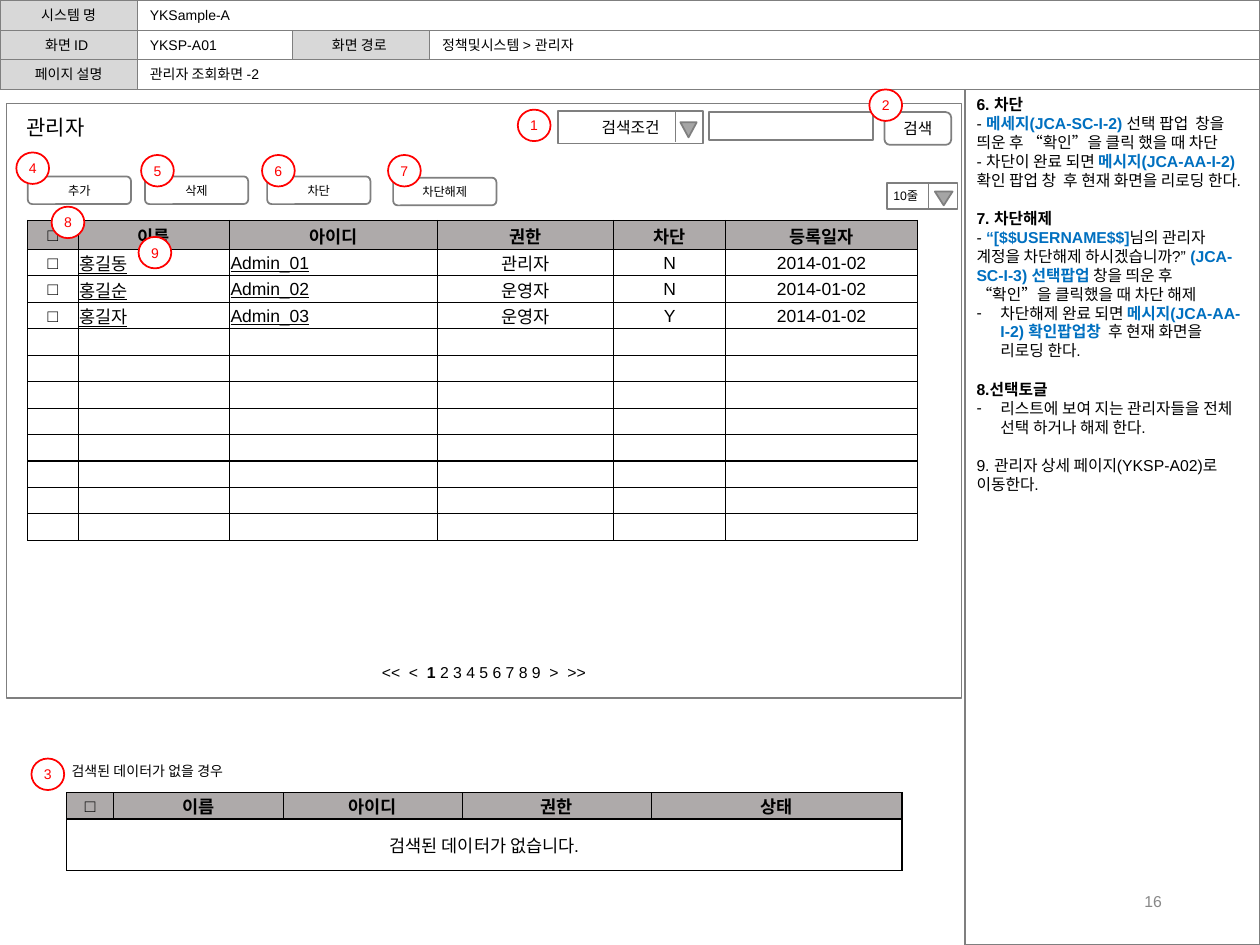
from lxml.etree import SubElement
from pptx import Presentation
from pptx.dml.color import RGBColor
from pptx.enum.shapes import MSO_CONNECTOR, MSO_SHAPE
from pptx.enum.text import MSO_ANCHOR, MSO_AUTO_SIZE, PP_ALIGN
from pptx.oxml.ns import qn
from pptx.util import Inches, Pt

BLACK, GRAY, RED, BLUE, WHITE = "000000", "7F7F7F", "FF0000", "0070C0", "FFFFFF"
LABEL, HEADER, ARROW = "D8D8D8", "AEAAAA", "A5A5A5"
LEFT, CENTER, RIGHT = PP_ALIGN.LEFT, PP_ALIGN.CENTER, PP_ALIGN.RIGHT


def write(paragraph, runs, size, align=LEFT, underline=False):
    paragraph.alignment = align
    for text, color, bold in runs:
        run = paragraph.add_run()
        run.text = text
        run.font.name = "Arial"
        run.font.size = Pt(size)
        run.font.bold = bold
        run.font.underline = underline
        run.font.color.rgb = RGBColor.from_string(color)


def add_box(place, runs=(), size=8, align=CENTER, kind=MSO_SHAPE.RECTANGLE,
            fill=None, line=GRAY, weight=1, inset=0.1):
    lengths = [Inches(value) for value in place]
    if kind is None:
        box = slide.shapes.add_textbox(*lengths)
    else:
        box = slide.shapes.add_shape(kind, *lengths)
        box.shadow.inherit = False
        box.line.color.rgb = RGBColor.from_string(line)
        box.line.width = Pt(weight)
        if fill:
            box.fill.solid()
            box.fill.fore_color.rgb = RGBColor.from_string(fill)
        else:
            box.fill.background()
    frame = box.text_frame
    frame.word_wrap = True
    frame.vertical_anchor = MSO_ANCHOR.MIDDLE
    frame.margin_left = frame.margin_right = Inches(inset)
    if runs:
        write(frame.paragraphs[0], runs, size, align)


presentation = Presentation()
presentation.slide_width, presentation.slide_height = Inches(10), Inches(7.5)
slide = presentation.slides.add_slide(presentation.slide_layouts[1])

heading, notes = slide.placeholders
for holder, place in ((heading, (0.11, 0.86, 1, 0.3)), (notes, (7.66, 0.71, 2.34, 6.79))):
    holder.left, holder.top, holder.width, holder.height = [Inches(v) for v in place]
    holder.text_frame.auto_size = MSO_AUTO_SIZE.NONE
    holder.text_frame.vertical_anchor = MSO_ANCHOR.TOP
write(heading.text_frame.paragraphs[0], [("관리자", BLACK, False)], 12)

notes.line.color.rgb = RGBColor.from_string(GRAY)
notes.line.width = Pt(0.75)
notes.text_frame.margin_left = notes.text_frame.margin_right = Inches(0.09)
notes.text_frame.margin_top = notes.text_frame.margin_bottom = Inches(0.04)
note_paragraphs = [
    (0, False, [("6. 차단", BLACK, True)]),
    (0, False, [("- ", BLACK, False), ("메세지(JCA-SC-I-2) ", BLUE, True),
                ("선택 팝업  창을 띄운 후 “확인”을 클릭 했을 때 차단", BLACK, False)]),
    (0, False, [("- 차단이 완료 되면 ", BLACK, False), ("메시지(JCA-AA-I-2) ", BLUE, True),
                ("확인 팝업 창  후 현재 화면을 리로딩 한다.", BLACK, False)]),
    (11, False, [("7. 차단해제", BLACK, True)]),
    (0, False, [("- ", BLACK, False), ("“[$$USERNAME$$]", BLUE, True),
                ("님의 관리자 계정을 차단해제 하시겠습니까?” ", BLACK, False),
                ("(JCA-SC-I-3) 선택팝업 ", BLUE, True),
                ("창을 띄운 후 “확인”을 클릭했을 때 차단 해제", BLACK, False)]),
    (0, True, [("차단해제 완료 되면 ", BLACK, False),
               ("메시지(JCA-AA-I-2) 확인팝업창 ", BLUE, True),
               (" 후 현재 화면을 리로딩 한다.", BLACK, False)]),
    (11, False, [("8.선택토글", BLACK, True)]),
    (0, True, [("리스트에 보여 지는 관리자들을 전체 선택 하거나 해제 한다.", BLACK, False)]),
    (11, False, [("9. 관리자 상세 페이지(YKSP-A02)로 이동한다.", BLACK, False)]),
]
for index, (gap, bulleted, runs) in enumerate(note_paragraphs):
    frame = notes.text_frame
    paragraph = frame.add_paragraph() if index else frame.paragraphs[0]
    write(paragraph, runs, 9)
    paragraph.space_before = Pt(gap)
    properties = paragraph._p.get_or_add_pPr()
    hang = Inches(0.19) if bulleted else 0
    properties.set("marL", str(hang))
    properties.set("indent", str(-hang))
    if bulleted:
        SubElement(properties, qn("a:buChar")).set("char", "-")
    else:
        SubElement(properties, qn("a:buNone"))

add_box((7.07, 6.95, 2.25, 0.4), [("16", "888888", False)], 9, RIGHT, None)

header_fields = [
    (0, 0.24, 1.09, "화면 ID ", True), (1.09, 0.24, 1.25, "YKSP-A01", False),
    (2.32, 0.24, 1.09, "화면 경로 ", True), (3.41, 0.24, 6.59, "정책및시스템 > 관리자", False),
    (0, 0.47, 1.09, "페이지 설명", True), (1.09, 0.47, 8.91, "관리자 조회화면 -2", False),
    (0, 0, 1.09, "시스템 명", True), (1.09, 0, 8.91, "YKSample-A", False),
]
for left, top, width, text, is_label in header_fields:
    add_box((left, top, width, 0.24), [(text, BLACK, False)], 8, CENTER if is_label else LEFT,
            fill=LABEL if is_label else WHITE, weight=0.75)

add_box((0.05, 0.82, 7.58, 4.72), weight=0.75)
add_box((4.43, 0.88, 1.15, 0.26), [("검색조건", BLACK, False)], 9)
add_box((5.63, 0.89, 1.3, 0.22))
add_box((7.04, 1.45, 0.56, 0.21), [("10줄", BLACK, False)], 7, LEFT, inset=0.05)
for place in ((5.4, 0.97, 0.13, 0.12), (7.42, 1.52, 0.14, 0.11)):
    add_box(place, kind=MSO_SHAPE.FLOWCHART_MERGE, fill=ARROW)
for x, top, bottom in ((5.36, 0.88, 1.13), (7.37, 1.45, 1.67)):
    divider = slide.shapes.add_connector(
        MSO_CONNECTOR.STRAIGHT, Inches(x), Inches(top), Inches(x), Inches(bottom))
    divider.line.color.rgb = RGBColor.from_string(GRAY)
    divider.line.width = Pt(0.75)
    SubElement(divider._element.spPr, qn("a:effectLst"))

buttons = [(7.02, 0.89, 0.53, 0.26, "검색", 9), (0.22, 1.4, 0.82, 0.22, "추가", 7),
           (1.15, 1.4, 0.82, 0.22, "삭제", 7), (2.12, 1.4, 0.82, 0.22, "차단", 7),
           (3.12, 1.41, 0.82, 0.22, "차단해제", 7)]
for *place, text, size in buttons:
    add_box(place, [(text, BLACK, False)], size, kind=MSO_SHAPE.ROUNDED_RECTANGLE, inset=0.04)

add_box((2.39, 5.21, 2.9, 0.25),
        [("<<  <  ", BLACK, False), ("1 ", BLACK, True),
         ("2 3 4 5 6 7 8 9  >  >>", BLACK, False)], 9, CENTER, None)

admin_rows = [
    ["□", "이름", "아이디", "권한", "차단", "등록일자"],
    ["□", "홍길동", "Admin_01", "관리자", "N", "2014-01-02"],
    ["□", "홍길순", "Admin_02", "운영자", "N", "2014-01-02"],
    ["□", "홍길자", "Admin_03", "운영자", "Y", "2014-01-02"],
] + [[""] * 6 for _ in range(8)]
empty_result_rows = [["□", "이름", "아이디", "권한", "상태"],
                     ["검색된 데이터가 없습니다.", "", "", "", ""]]
tables = [
    (0.22, 1.75, [0.4, 1.2, 1.65, 1.4, 0.89, 1.52], [0.23] + [0.21] * 11, admin_rows, (1, 2)),
    (0.53, 6.29, [0.37, 1.35, 1.42, 1.5, 1.99], [0.21, 0.41], empty_result_rows, ()),
]
for left, top, widths, heights, rows, link_columns in tables:
    table = slide.shapes.add_table(len(rows), len(widths), Inches(left), Inches(top),
                                   Inches(sum(widths)), Inches(sum(heights))).table
    table.first_row = table.horz_banding = False
    for column, width in zip(table.columns, widths):
        column.width = Inches(width)
    for r, (values, height) in enumerate(zip(rows, heights)):
        table.rows[r].height = Inches(height)
        for c, value in enumerate(values):
            cell = table.cell(r, c)
            cell.vertical_anchor = MSO_ANCHOR.MIDDLE
            cell.margin_left = cell.margin_right = cell.margin_top = Inches(0.01)
            cell.margin_bottom = 0
            paragraph = cell.text_frame.paragraphs[0]
            linked = r > 0 and c in link_columns
            if value:
                write(paragraph, [(value, BLACK, r == 0)], 10, LEFT if linked else CENTER, linked)
            else:
                SubElement(paragraph._p, qn("a:endParaRPr")).set("sz", "1000")
            cell_properties = cell._tc.get_or_add_tcPr()
            for side in ("a:lnL", "a:lnR", "a:lnT", "a:lnB"):
                border = SubElement(cell_properties, qn(side), w=str(Pt(0.75)))
                border_fill = SubElement(border, qn("a:solidFill"))
                SubElement(border_fill, qn("a:srgbClr")).set("val", BLACK)
            if r == 0:
                cell.fill.solid()
                cell.fill.fore_color.rgb = RGBColor.from_string(HEADER)
            else:
                cell.fill.background()
    if rows is empty_result_rows:
        table.cell(1, 0).merge(table.cell(1, 4))

add_box((0.47, 6, 1.53, 0.24), [("검색된 데이터가 없을 경우", BLACK, False)], 8, LEFT, None)

badges = [(4.11, 0.87), (6.9, 0.71), (0.25, 6.02), (0.13, 1.21), (1.12, 1.23),
          (2.08, 1.23), (3.08, 1.23), (0.41, 1.64), (1.1, 1.88)]
for number, (left, top) in enumerate(badges, 1):
    add_box((left, top, 0.26, 0.25), [(str(number), RED, False)], 8,
            kind=MSO_SHAPE.OVAL, fill=WHITE, line=RED, inset=0)

presentation.save("out.pptx")
